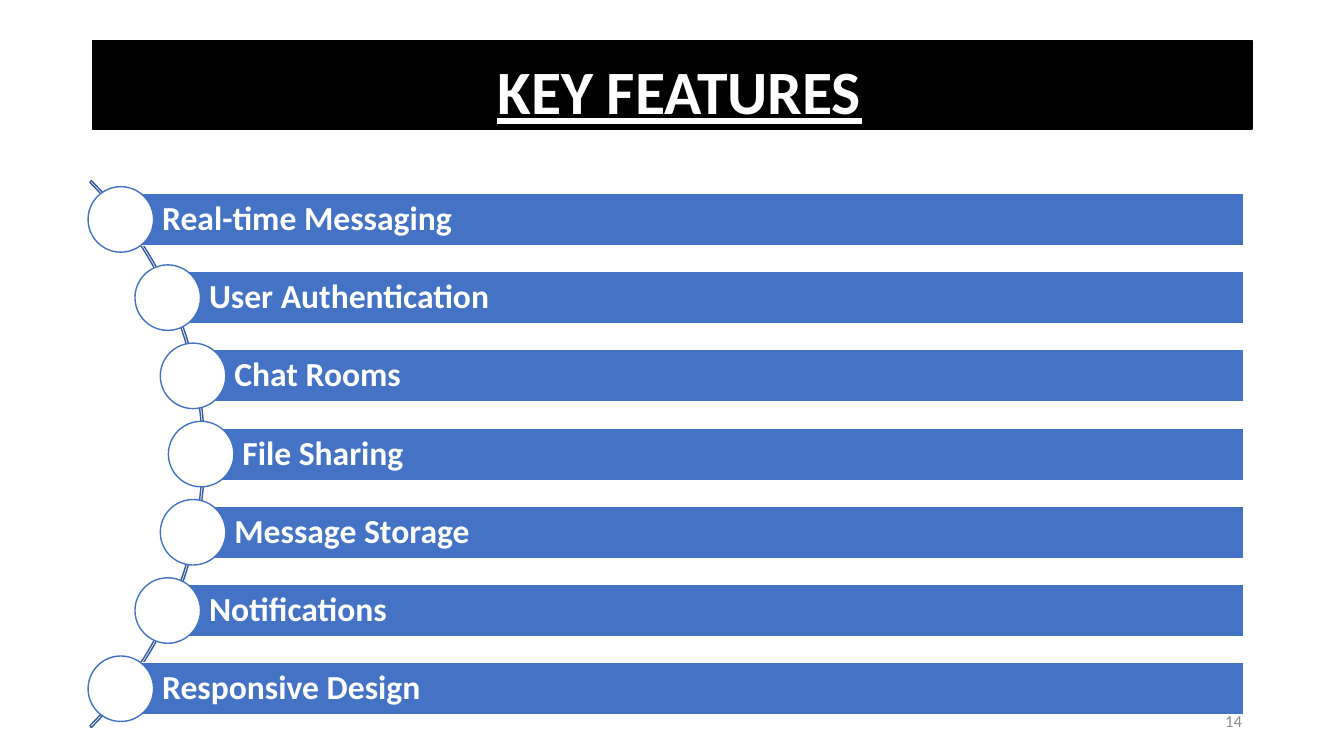
from math import sqrt

from pptx import Presentation
from pptx.dml.color import RGBColor
from pptx.enum.shapes import MSO_SHAPE as SHAPE
from pptx.enum.text import MSO_ANCHOR as ANCHOR, PP_ALIGN as ALIGN
from pptx.util import Inches, Pt

COLS, ROWS = 133.3, 75
BLUE, DARK_BLUE, WHITE, BLACK, GRAY = "4472C4", "365B9D", "FFFFFF", "000000", "8C8C8C"
FEATURES = ["Real-time Messaging", "User Authentication", "Chat Rooms", "File Sharing",
            "Message Storage", "Notifications", "Responsive Design"]


def rgb(value):
    return RGBColor.from_string(value)


class Deck:
    """Holds the style and the current slide, placed on a grid of columns and rows."""

    def __init__(self, font):
        self.font = font
        self.prs = Presentation()
        self.prs.slide_width, self.prs.slide_height = Inches(13.33), Inches(7.5)
        self.s = self.prs.slides.add_slide(self.prs.slide_layouts[6])

    def box(self, col, row, cols, rows):
        w, h = self.prs.slide_width, self.prs.slide_height
        return (int(col / COLS * w), int(row / ROWS * h),
                int(cols / COLS * w), int(rows / ROWS * h))

    def shape(self, kind, place, fill, line):
        sp = self.s.shapes.add_shape(kind, *self.box(*place))
        sp.shadow.inherit = False
        if fill:
            sp.fill.solid()
            sp.fill.fore_color.rgb = rgb(fill)
        else:
            sp.fill.background()
        sp.line.color.rgb = rgb(line)
        sp.line.width = Pt(1)
        return sp

    def arc(self, place, line, adjustments):
        sp = self.shape(SHAPE.BLOCK_ARC, place, None, line)
        for i, value in enumerate(adjustments):
            sp.adjustments[i] = value

    def label(self, place):
        return self.s.shapes.add_textbox(*self.box(*place))

    def text(self, sp, words, size, color, align=ALIGN.LEFT, anchor=ANCHOR.MIDDLE,
             insets=(1, 0.5, 1, 0.5), spacing=1.0, bold=False, underline=False):
        tf = sp.text_frame
        tf.word_wrap = True
        tf.vertical_anchor = anchor
        left, top, right, bottom = insets
        tf.margin_left, tf.margin_top, tf.margin_right, tf.margin_bottom = (
            *self.box(left, top, 0, 0)[:2], *self.box(right, bottom, 0, 0)[:2])
        p = tf.paragraphs[0]
        p.alignment = align
        p.line_spacing = spacing
        r = p.add_run()
        r.text = words
        r.font.name = self.font
        r.font.size = Pt(size)
        r.font.bold = bold
        r.font.underline = underline
        r.font.color.rgb = rgb(color)


def main():
    deck = Deck("Calibri")

    title = deck.shape(SHAPE.RECTANGLE, (9.2, 4, 115, 8.8), BLACK, BLACK)
    deck.text(title, "KEY FEATURES", 44, WHITE, ALIGN.CENTER, ANCHOR.TOP,
              (5.3, 2.1, 3.9, 2.1), 0.9, bold=True, underline=True)

    arc_x, arc_y, arc_size = -18.05, 45.05, 76.7
    deck.arc((arc_x - arc_size / 2, arc_y - arc_size / 2, arc_size, arc_size),
             DARK_BLUE, (189, 27, 0.003))

    orbit, step, bar_h, dot, bar_right = 38, 7.76, 5.2, 6.5, 123.4
    for i, feature in enumerate(FEATURES):
        offset = (i - len(FEATURES) // 2) * step
        x, y = arc_x + sqrt(orbit ** 2 - offset ** 2), arc_y + offset
        bar = deck.shape(SHAPE.RECTANGLE, (x, y - bar_h / 2, bar_right - x, bar_h), BLUE, WHITE)
        deck.text(bar, feature, 24, WHITE, insets=(4.1, 0.7, 0.7, 0.7), spacing=0.9, bold=True)
        deck.shape(SHAPE.OVAL, (x - dot / 2, y - dot / 2, dot, dot), WHITE, BLUE)

    deck.text(deck.label((94.2, 69.5, 30, 4)), "14", 12, GRAY, ALIGN.RIGHT)

    deck.prs.save("out.pptx")


if __name__ == "__main__":
    main()
